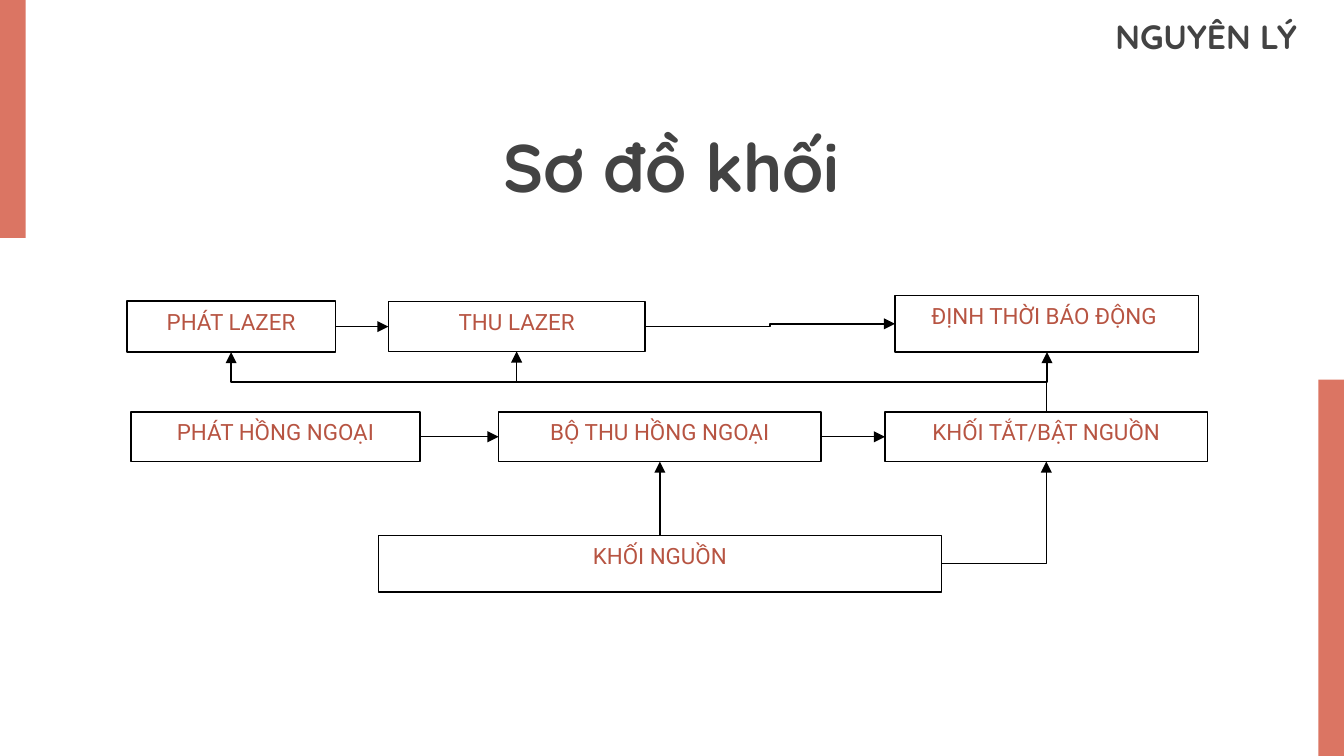
from collections import namedtuple
from dataclasses import dataclass

from lxml.etree import SubElement
from pptx import Presentation
from pptx.dml.color import RGBColor as Color
from pptx.enum.shapes import MSO_CONNECTOR as Link, MSO_SHAPE as Preset
from pptx.enum.text import MSO_ANCHOR as Anchor, PP_ALIGN as Align
from pptx.oxml.ns import qn
from pptx.util import Inches, Pt

# The page is a grid of square cells; every Box is given in columns and rows.
COLUMNS, ROWS = 100, 56.25
CELL = Inches(0.1)
TOP, LEFT, BOTTOM, RIGHT = range(4)  # connection sites of a rectangle

Box = namedtuple("Box", "left top width height")


@dataclass(frozen=True)
class Theme:
    paper: Color = Color.from_string("FFFFFF")
    accent: Color = Color.from_string("DB7563")
    heading: Color = Color.from_string("434343")
    label: Color = Color.from_string("B75442")
    line: Color = Color.from_string("000000")
    heading_font: str = "Quicksand"
    label_font: str = "Roboto"
    title_size: Pt = Pt(36)
    section_size: Pt = Pt(18)
    label_size: Pt = Pt(12)
    line_width: Pt = Pt(0.75)


THEME = Theme()

# Blocks: name -> label and box inside the diagram
BLOCKS = {
    "laser_out": ("PHÁT LAZER", Box(0.05, 0.4, 15.5, 3.8)),
    "laser_in": ("THU LAZER", Box(19.5, 0.45, 19.1, 3.7)),
    "alarm": ("ĐỊNH THỜI BÁO ĐỘNG ", Box(57.2, 0, 22.6, 4.2)),
    "infrared_out": ("PHÁT HỒNG NGOẠI", Box(0.35, 8.65, 21.5, 3.7)),
    "infrared_in": ("BỘ THU HỒNG NGOẠI", Box(27.7, 8.65, 24, 3.7)),
    "switch": ("KHỐI TẮT/BẬT NGUỒN", Box(56.45, 8.65, 24, 3.7)),
    "power": ("KHỐI NGUỒN", Box(18.75, 17.85, 41.9, 4.2)),
}

# Arrows: start block, its site, end block, its site, geometry
ARROWS = [
    ("laser_out", RIGHT, "laser_in", LEFT, "line"),
    ("laser_in", RIGHT, "alarm", LEFT, "bentConnector3"),
    ("infrared_out", RIGHT, "infrared_in", LEFT, "line"),
    ("infrared_in", RIGHT, "switch", LEFT, "line"),
    ("power", TOP, "infrared_in", BOTTOM, "line"),
    ("power", RIGHT, "switch", BOTTOM, "bentConnector2"),
    ("switch", TOP, "laser_in", BOTTOM, "bentConnector3"),
    ("switch", TOP, "alarm", BOTTOM, "bentConnector3"),
    ("switch", TOP, "laser_out", BOTTOM, "bentConnector3"),
]


def to_emu(box):
    return [round(cells * CELL) for cells in box]


def add_rectangle(page, box, fill):
    shape = page.shapes.add_shape(Preset.RECTANGLE, *to_emu(box))
    shape.shadow.inherit = False
    shape.fill.solid()
    shape.fill.fore_color.rgb = fill
    shape.line.fill.background()
    return shape


def write(frame, text, font, size, color, bold=False):
    frame.word_wrap = True
    para = frame.paragraphs[0]
    para.text = text
    para.alignment = Align.CENTER
    para.font.name = font
    para.font.size = size
    para.font.bold = bold
    para.font.color.rgb = color


def draw_heading(page, box, text, size):
    frame = page.shapes.add_textbox(*to_emu(box)).text_frame
    frame.vertical_anchor = Anchor.MIDDLE
    frame.margin_top = frame.margin_bottom = Inches(0.1)
    write(frame, text, THEME.heading_font, size, THEME.heading, bold=True)


def draw_block(page, box, label):
    block = add_rectangle(page, box, THEME.paper)
    block.line.color.rgb = THEME.line
    block.line.width = THEME.line_width
    block.text_frame.vertical_anchor = Anchor.TOP
    write(block.text_frame, label, THEME.label_font, THEME.label_size, THEME.label)
    return block


def turn_upward(arrow):
    """Rotate an elbow so that it leaves its start block upward."""
    run, rise = arrow.end_x - arrow.begin_x, arrow.begin_y - arrow.end_y
    middle_x = (arrow.begin_x + arrow.end_x) // 2
    middle_y = (arrow.begin_y + arrow.end_y) // 2
    arrow.width, arrow.height = rise, abs(run)
    arrow.left, arrow.top = middle_x - rise // 2, middle_y - abs(run) // 2
    frame = arrow._element.spPr.find(qn("a:xfrm"))
    frame.attrib.pop("flipV", None)
    frame.set("rot", str((90 if run < 0 else 270) * 60000))
    frame.set("flipH", "1" if run < 0 else "0")


def draw_arrow(page, start, start_site, end, end_site, geometry):
    kind = Link.STRAIGHT if geometry == "line" else Link.ELBOW
    arrow = page.shapes.add_connector(kind, 0, 0, 0, 0)
    arrow.begin_connect(start, start_site)
    arrow.end_connect(end, end_site)
    arrow.line.color.rgb = THEME.line
    arrow.line.width = THEME.line_width
    # Geometry, arrowhead and no shadow
    properties = arrow._element.spPr
    properties.find(qn("a:prstGeom")).set("prst", geometry)
    SubElement(properties.find(qn("a:ln")), qn("a:tailEnd")).set("type", "triangle")
    SubElement(properties, qn("a:effectLst"))
    if start_site == TOP and kind == Link.ELBOW:
        turn_upward(arrow)


def draw_side_bars(page, box):
    thickness, upper, lower = 1.9, 17.7, 28
    right, bottom = box.left + box.width, box.top + box.height
    for bar in (
        Box(box.left, box.top, thickness, upper),
        Box(right - thickness, bottom - lower, thickness, lower),
    ):
        add_rectangle(page, bar, THEME.accent)


def draw_diagram(page, box):
    blocks = {}
    for name, (label, place) in BLOCKS.items():
        spot = place._replace(left=box.left + place.left, top=box.top + place.top)
        blocks[name] = draw_block(page, spot, label)
    for start, start_site, end, end_site, geometry in ARROWS:
        draw_arrow(page, blocks[start], start_site, blocks[end], end_site, geometry)


def main():
    deck = Presentation()
    deck.slide_width, deck.slide_height = round(COLUMNS * CELL), round(ROWS * CELL)
    page = deck.slides.add_slide(deck.slide_layouts[6])
    page.background.fill.solid()
    page.background.fill.fore_color.rgb = THEME.paper

    draw_side_bars(page, Box(0, 0, COLUMNS, ROWS))
    draw_heading(page, Box(26.9, 8.4, 46.1, 7.8), "Sơ đồ khối", THEME.title_size)
    draw_heading(page, Box(75.3, 0.6, 28.9, 4.1), "NGUYÊN LÝ", THEME.section_size)
    draw_diagram(page, Box(9.4, 22, 80.4, 22.1))
    deck.save("out.pptx")


if __name__ == "__main__":
    main()
